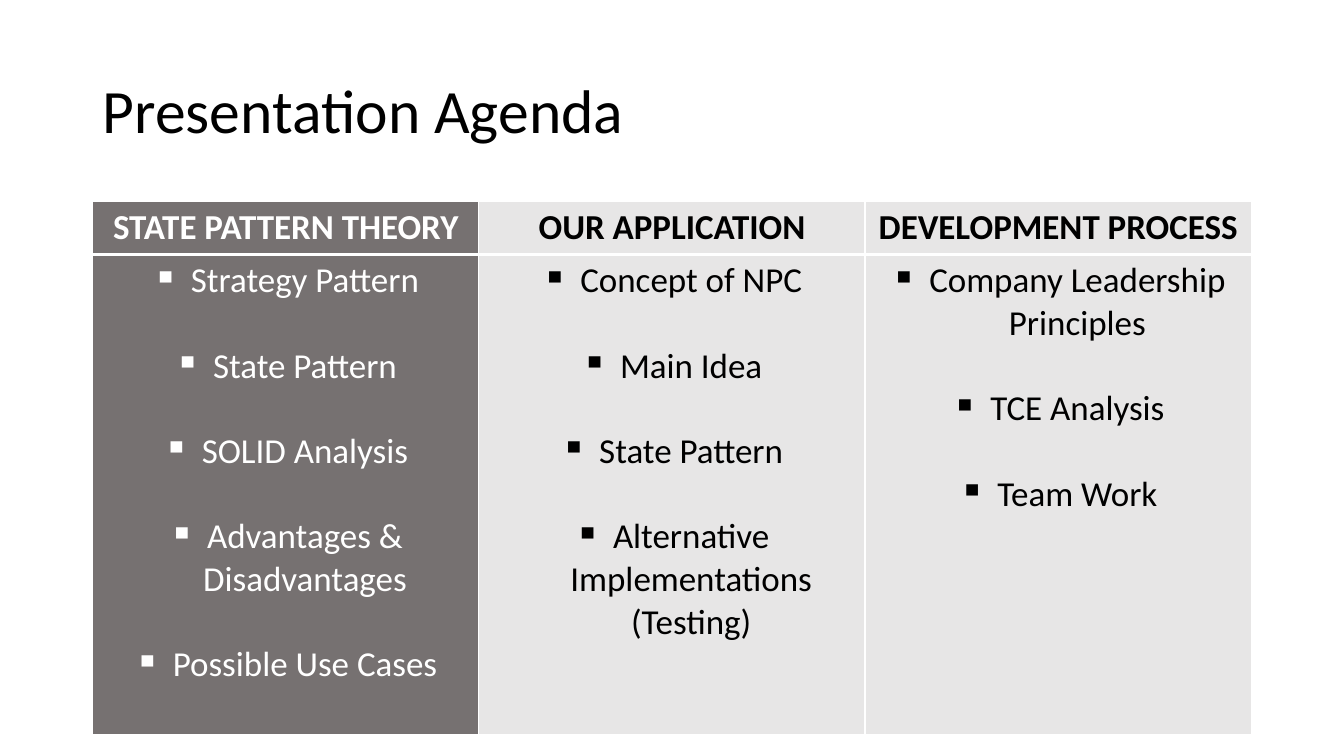
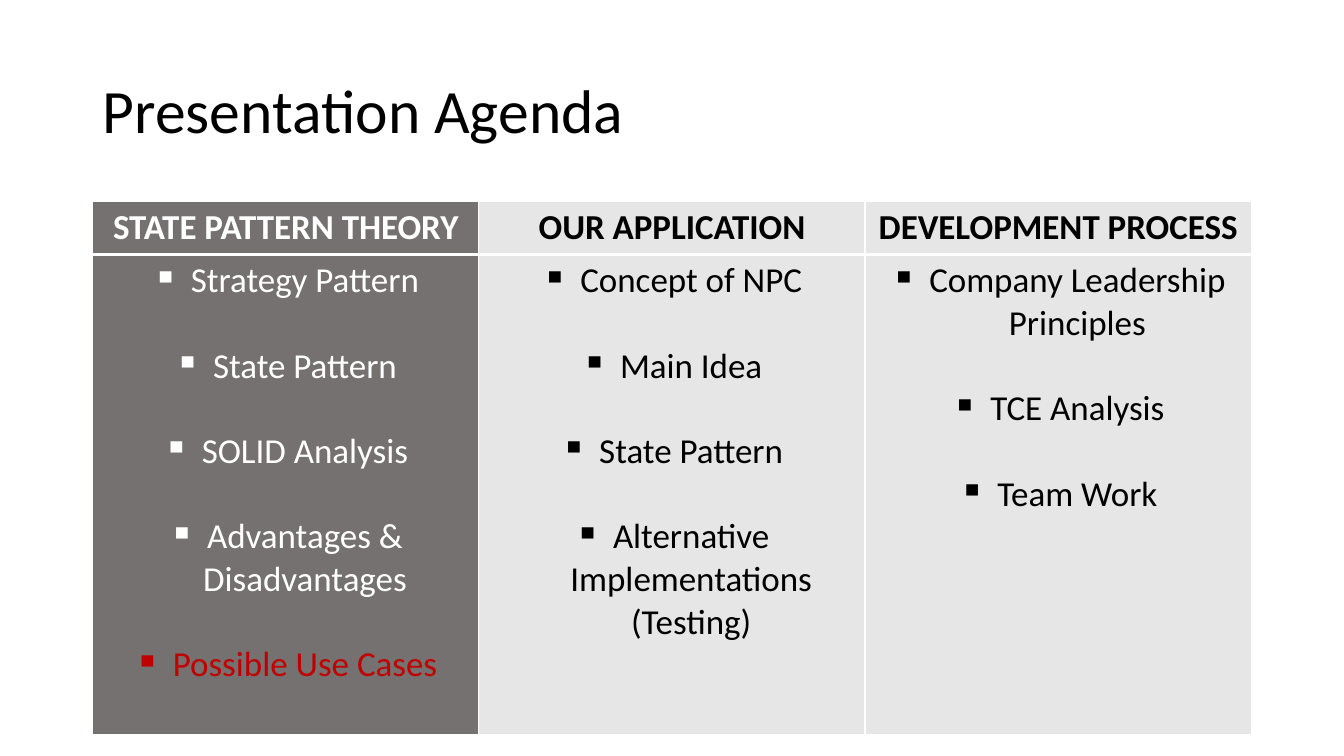
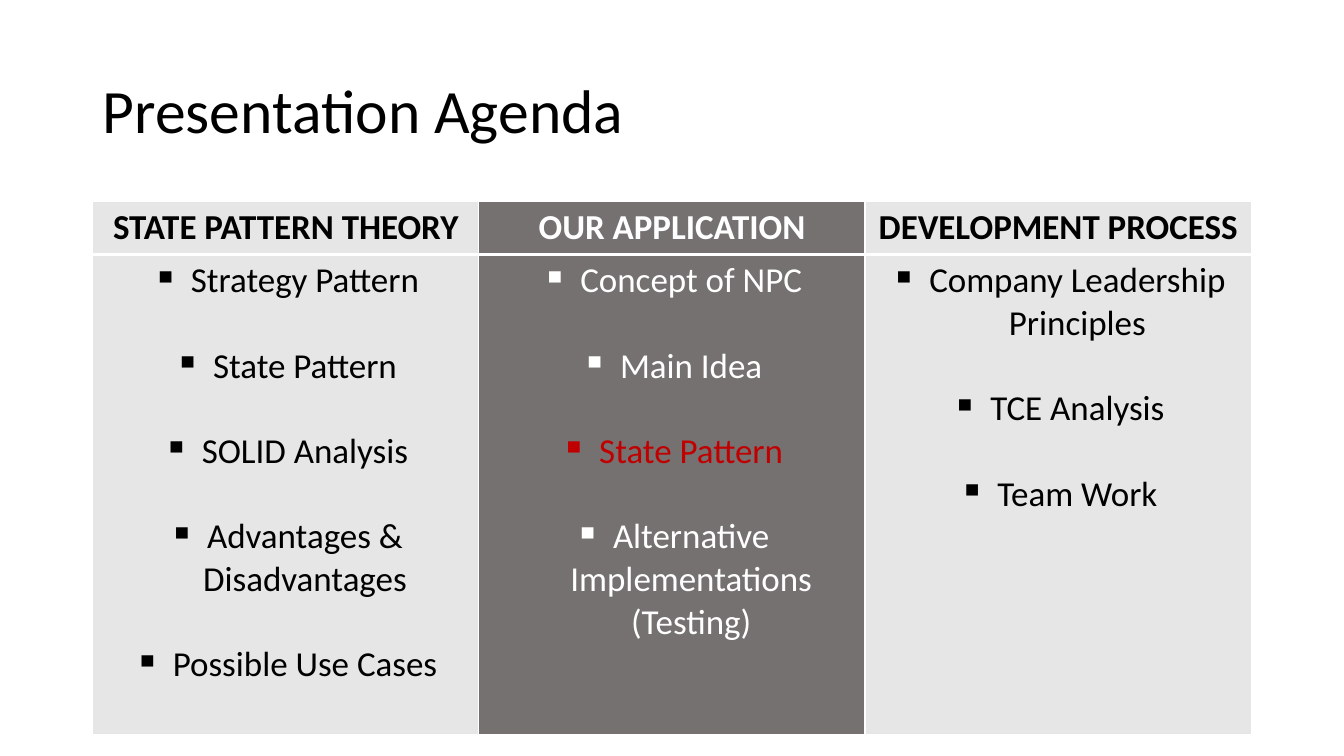
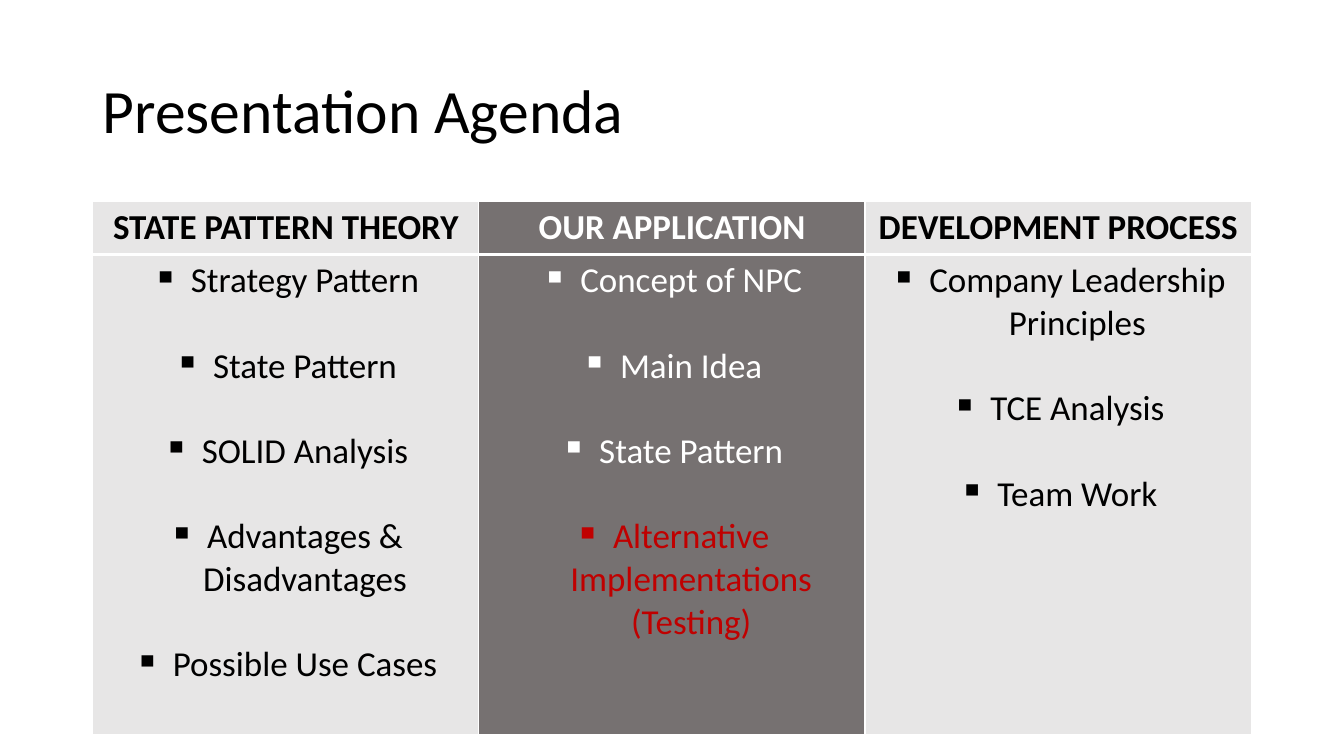
from dataclasses import dataclass

from lxml import etree
from pptx import Presentation
from pptx.dml.color import RGBColor
from pptx.enum.text import MSO_ANCHOR, PP_ALIGN
from pptx.oxml.ns import qn
from pptx.util import Inches, Pt

CENTER, LEFT = PP_ALIGN.CENTER, PP_ALIGN.LEFT
MIDDLE = MSO_ANCHOR.MIDDLE


@dataclass(frozen=True)
class Theme:
    font: str = "Calibri"
    title_size: float = 44
    table_size: float = 25
    item_gap: float = 30.5
    ink: str = "000000"
    paper: str = "FFFFFF"
    active_fill: str = "767171"
    idle_fill: str = "E7E6E6"
    highlight: str = "C00000"
    thin_rule: float = 1
    thick_rule: float = 3


THEME = Theme()

# Slide grid: 29 columns by 75 rows
SLIDE_W, SLIDE_H = Inches(13.33), Inches(7.5)
COLUMN, ROW = SLIDE_W / 29, SLIDE_H / 75
TITLE_BOX = (2, 4, 25, 14.5)
AGENDA_BOX = (2, 20, 25, 52.8)
HEADER_ROWS = 5.2
BULLET_INDENT = Inches(0.38)

AGENDA_TITLE = "Presentation Agenda"
AGENDA = {
    "STATE PATTERN THEORY": [
        "Strategy Pattern", "State Pattern", "SOLID Analysis",
        "Advantages & Disadvantages", "Possible Use Cases",
    ],
    "OUR APPLICATION": [
        "Concept of NPC", "Main Idea", "State Pattern",
        "Alternative Implementations (Testing)",
    ],
    "DEVELOPMENT PROCESS": [
        "Company Leadership Principles", "TCE Analysis", "Team Work",
    ],
}

# Active section and highlighted item of each slide
STAGES = [
    ("STATE PATTERN THEORY", None),
    ("STATE PATTERN THEORY", "Possible Use Cases"),
    ("OUR APPLICATION", "State Pattern"),
    ("OUR APPLICATION", "Alternative Implementations (Testing)"),
]


def grid_box(box):
    left, top, width, height = box
    return (round(left * COLUMN), round(top * ROW),
            round(width * COLUMN), round(height * ROW))


def style_paragraph(paragraph, size, color, align, bold=False):
    paragraph.alignment = align
    font = paragraph.font
    font.name, font.size, font.bold = THEME.font, Pt(size), bold
    font.color.rgb = RGBColor.from_string(color)


def add_bullet(paragraph):
    properties = paragraph._p.get_or_add_pPr()
    properties.set("marL", str(BULLET_INDENT))
    properties.set("indent", str(-BULLET_INDENT))
    etree.SubElement(properties, qn("a:buChar"), char="▪")


def set_borders(cell, top, bottom):
    properties = cell._tc.get_or_add_tcPr()
    widths = {"a:lnL": THEME.thin_rule, "a:lnR": THEME.thin_rule,
              "a:lnT": top, "a:lnB": bottom}
    for side, width in widths.items():
        line = etree.SubElement(properties, qn(side), w=str(Pt(width)))
        fill = etree.SubElement(line, qn("a:solidFill"))
        etree.SubElement(fill, qn("a:srgbClr"), val=THEME.paper)


def fill_cell(cell, color):
    cell.fill.solid()
    cell.fill.fore_color.rgb = RGBColor.from_string(color)


def place_title(slide, text, box):
    title = slide.shapes.title
    title.left, title.top, title.width, title.height = grid_box(box)
    frame = title.text_frame
    frame.text, frame.vertical_anchor = text, MIDDLE
    heading = frame.paragraphs[0]
    heading.line_spacing = 0.9
    style_paragraph(heading, THEME.title_size, THEME.ink, LEFT)


def fill_section(header, body, section, items, active, highlighted):
    """Fill one table column: its heading and its list of items."""
    fill, ink = ((THEME.active_fill, THEME.paper) if active
                 else (THEME.idle_fill, THEME.ink))
    set_borders(header, THEME.thin_rule, THEME.thick_rule)
    set_borders(body, THEME.thick_rule, THEME.thin_rule)
    fill_cell(header, fill)
    fill_cell(body, fill)

    header.text = section
    style_paragraph(header.text_frame.paragraphs[0],
                    THEME.table_size, ink, CENTER, bold=True)

    body.text = "\n".join(items)
    for index, paragraph in enumerate(body.text_frame.paragraphs):
        add_bullet(paragraph)
        if index:
            paragraph.space_before = Pt(THEME.item_gap)
        marked = active and items[index] == highlighted
        style_paragraph(paragraph, THEME.table_size,
                        THEME.highlight if marked else ink, CENTER)


def place_agenda(slide, box, active_section, highlighted):
    left, top, width, height = grid_box(box)
    agenda = slide.shapes.add_table(
        2, len(AGENDA), left, top, width, height).table
    agenda.first_row = agenda.horz_banding = False
    agenda.rows[0].height = round(HEADER_ROWS * ROW)
    agenda.rows[1].height = height - agenda.rows[0].height
    for column, (section, items) in enumerate(AGENDA.items()):
        fill_section(agenda.cell(0, column), agenda.cell(1, column), section,
                     items, section == active_section, highlighted)


def add_agenda_slide(deck, active_section, highlighted):
    title_only = deck.slide_layouts[5]
    slide = deck.slides.add_slide(title_only)
    place_title(slide, AGENDA_TITLE, TITLE_BOX)
    place_agenda(slide, AGENDA_BOX, active_section, highlighted)


def main():
    deck = Presentation()
    deck.slide_width, deck.slide_height = SLIDE_W, SLIDE_H
    for active_section, highlighted in STAGES:
        add_agenda_slide(deck, active_section, highlighted)
    deck.save("out.pptx")


if __name__ == "__main__":
    main()
